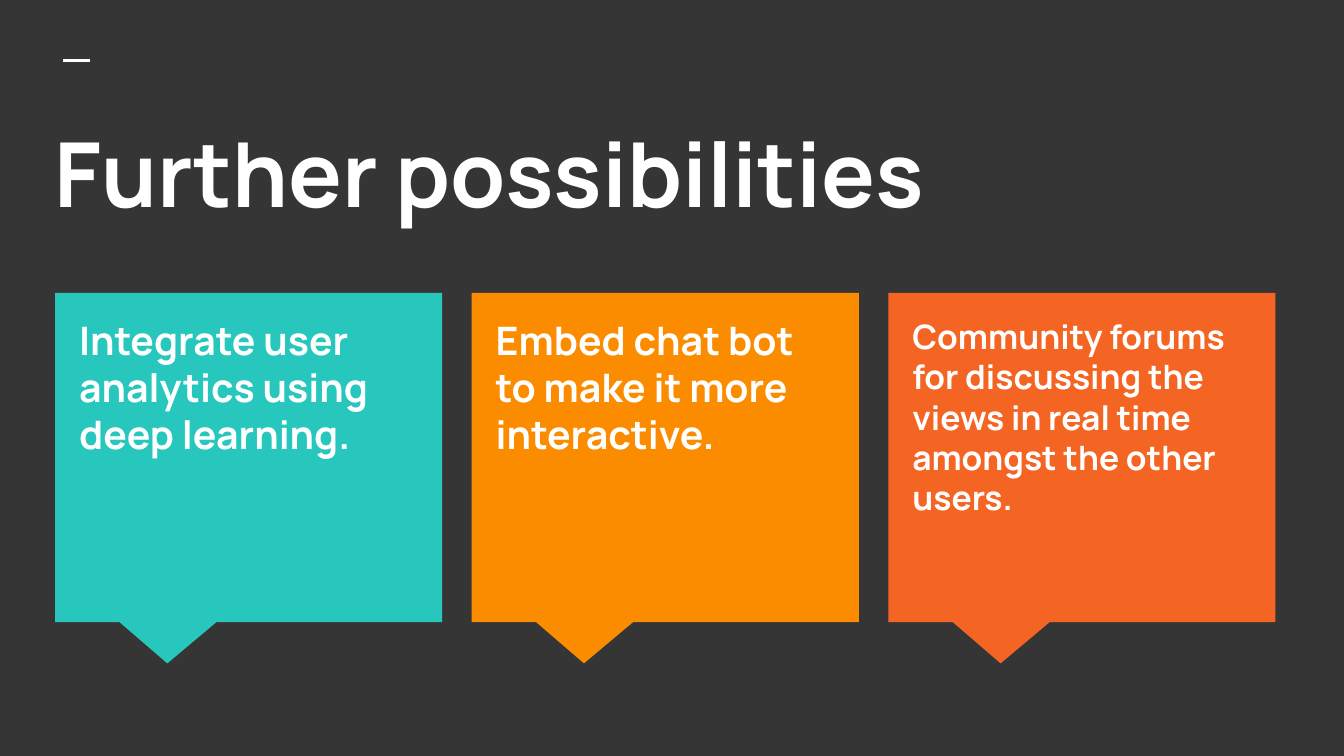
from dataclasses import dataclass

import pptx
import pptx.dml.color
import pptx.enum.shapes
import pptx.enum.text
import pptx.oxml.ns
import pptx.util
from lxml import etree

SLIDE_WIDTH = 10
SLIDE_HEIGHT = SLIDE_WIDTH * 9 / 16
FONT = "Manrope"
WHITE = "FFFFFF"
CARDS_LEFT, CARDS_RIGHT = 0.41, 9.49
CARD_TOP, CARD_WIDTH, CARD_HEIGHT = 2.18, 2.88, 2.45
INSET_X, INSET_Y = 0.08, 0.07
IDEA_WIDTH, IDEA_HEIGHT = 2.71, 2.19


@dataclass(frozen=True)
class Idea:
    text: str
    fill: str
    size: int


IDEAS = [
    Idea("Integrate user analytics using deep learning.", "27C7BD", 21),
    Idea("Embed chat bot to make it more interactive.", "FB8C00", 21),
    Idea(
        "Community forums for discussing the views in real time amongst the other users.",
        "F46524",
        18,
    ),
]


def paint(color_owner, color: str) -> None:
    color_owner.solid()
    color_owner.fore_color.rgb = pptx.dml.color.RGBColor.from_string(color)


def inches(*lengths: float) -> list[int]:
    return [pptx.util.Inches(length) for length in lengths]


def add_text(slide, text: str, *, box: tuple, size: int, space_after: int = 0) -> None:
    frame = slide.shapes.add_textbox(*inches(*box)).text_frame
    frame.word_wrap = True
    frame.vertical_anchor = pptx.enum.text.MSO_ANCHOR.TOP
    frame.margin_left = frame.margin_right = pptx.util.Inches(0.1)
    frame.margin_top = frame.margin_bottom = pptx.util.Inches(0.1)
    paragraph = frame.paragraphs[0]
    paragraph.space_after = pptx.util.Pt(space_after)
    run = paragraph.add_run()
    run.text = text
    run.font.name = FONT
    run.font.size = pptx.util.Pt(size)
    run.font.bold = True
    paint(run.font.fill, WHITE)


def add_accent(slide, left: float, right: float, y: float) -> None:
    accent = slide.shapes.add_connector(
        pptx.enum.shapes.MSO_CONNECTOR.STRAIGHT, *inches(left, y, right, y)
    )
    accent.line.width = pptx.util.Pt(1.5)
    paint(accent.line.fill, WHITE)
    etree.SubElement(accent._element.spPr, pptx.oxml.ns.qn("a:effectLst"))


def add_card(slide, idea: Idea, column: int) -> None:
    pitch = (CARDS_RIGHT - CARDS_LEFT - CARD_WIDTH) / (len(IDEAS) - 1)
    left = CARDS_LEFT + column * pitch
    card = slide.shapes.add_shape(
        pptx.enum.shapes.MSO_SHAPE.RECTANGULAR_CALLOUT,
        *inches(left, CARD_TOP, CARD_WIDTH, CARD_HEIGHT),
    )
    card.adjustments[0] = -0.21
    card.adjustments[1] = 5 / 8
    card.shadow.inherit = False
    card.line.fill.background()
    paint(card.fill, idea.fill)
    add_text(
        slide,
        idea.text,
        box=(left + INSET_X, CARD_TOP + INSET_Y, IDEA_WIDTH, IDEA_HEIGHT),
        size=idea.size,
        space_after=12,
    )


def main() -> None:
    deck = pptx.Presentation()
    deck.slide_width, deck.slide_height = inches(SLIDE_WIDTH, SLIDE_HEIGHT)
    slide = deck.slides.add_slide(deck.slide_layouts[6])
    paint(slide.background.fill, "353535")
    add_accent(slide, 0.47, 0.67, 0.45)
    add_text(slide, "Further possibilities", box=(0.31, 0.78, 9.43, 1.12), size=48)
    for column, idea in enumerate(IDEAS):
        add_card(slide, idea, column)
    deck.save("out.pptx")


if __name__ == "__main__":
    main()
